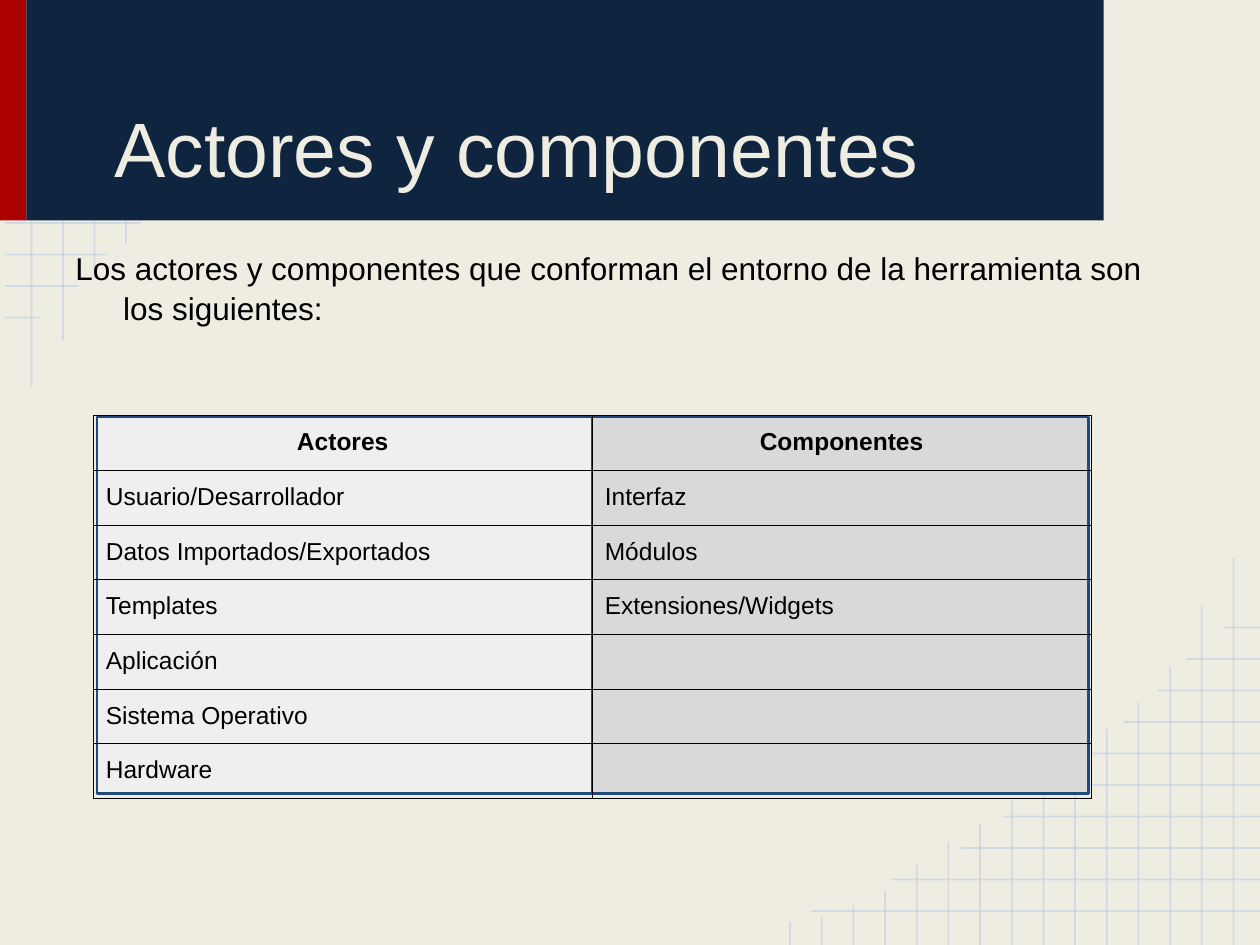
import pptx
import pptx.util
import pptx.dml.color
import pptx.enum.shapes
import pptx.enum.text
import pptx.oxml
import pptx.oxml.ns

Inches = pptx.util.Inches
Pt = pptx.util.Pt
RGBColor = pptx.dml.color.RGBColor
ALIGN = pptx.enum.text.PP_ALIGN
ANCHOR = pptx.enum.text.MSO_ANCHOR

CREAM = RGBColor(0xEF, 0xED, 0xE2)
PALE = RGBColor(0xB7, 0xCC, 0xE4)
RED = RGBColor(0xAB, 0x01, 0x01)
NAVY = RGBColor(0x0F, 0x24, 0x3E)
BLUE = RGBColor(0x1F, 0x49, 0x7D)
GREY = RGBColor(0xD9, 0xD9, 0xD9)
LIGHT = RGBColor(0xEF, 0xEF, 0xEF)
BLACK = RGBColor(0, 0, 0)


def apply(item, values):
    for name, value in values.items():
        setattr(item, name, value)


def add_xml(parent, tag, inner="", **values):
    ns = pptx.oxml.ns.nsdecls("a")
    node = pptx.oxml.parse_xml(f"<a:{tag} {ns}>{inner}</a:{tag}>")
    for name, value in values.items():
        node.set(name, str(value))
    parent.append(node)


class Page:
    font = "Arial"
    pad = Inches(0.1)

    def __init__(self, deck):
        self.slide = deck.slides.add_slide(deck.slide_layouts[6])
        self.shapes = self.slide.shapes
        fill = self.slide.background.fill
        fill.solid()
        fill.fore_color.rgb = CREAM

    def line(self, *ends):
        kind = pptx.enum.shapes.MSO_CONNECTOR.STRAIGHT
        line = self.shapes.add_connector(kind, *map(Inches, ends))
        line.line.width = Pt(1)
        line.line.color.rgb = PALE
        props = line.element.spPr
        add_xml(props.find(".//" + pptx.oxml.ns.qn("a:srgbClr")),
                "alpha", val=54000)
        add_xml(props, "effectLst")

    def box(self, place, color, edge=None):
        kind = pptx.enum.shapes.MSO_SHAPE.RECTANGLE
        box = self.shapes.add_shape(kind, *map(Inches, place))
        box.shadow.inherit = False
        box.fill.solid()
        box.fill.fore_color.rgb = color
        if edge is None:
            box.line.fill.background()
        else:
            box.line.color.rgb = edge
            box.line.width = Pt(1.5)

    def put(self, para, text, size, color=BLACK, bold=False):
        run = para.add_run()
        run.text = text
        apply(run.font, {"name": self.font, "size": Pt(size), "bold": bold})
        run.font.color.rgb = color

    def pads(self, item):
        apply(item, {f"margin_{side}": self.pad
                     for side in ("left", "top", "right", "bottom")})

    def text(self, place, text, size, color, anchor, left, first, space):
        frame = self.shapes.add_textbox(*map(Inches, place)).text_frame
        apply(frame, {"word_wrap": True, "vertical_anchor": anchor})
        self.pads(frame)
        para = frame.paragraphs[0]
        para.line_spacing = space
        props = para._p.get_or_add_pPr()
        props.set("marL", str(Inches(left)))
        props.set("indent", str(Inches(first)))
        self.put(para, text, size, color)

    def border(self, cell):
        props = cell._tc.get_or_add_tcPr()
        fill = f'<a:solidFill><a:srgbClr val="{BLACK}"/></a:solidFill>'
        for side in ("lnL", "lnR", "lnT", "lnB"):
            add_xml(props, side, fill, w=Pt(0.75))

    def table(self, left, top, width, height, rows):
        count = len(rows[0])
        table = self.shapes.add_table(
            len(rows), count, Inches(left), Inches(top),
            Inches(width * count), Inches(height * len(rows))).table
        apply(table, {"first_row": False, "horz_banding": False})
        for col in table.columns:
            col.width = Inches(width)
        for r, row in enumerate(rows):
            table.rows[r].height = Inches(height)
            for c, text in enumerate(row):
                cell = table.cell(r, c)
                self.border(cell)
                cell.fill.background()
                if text:
                    self.pads(cell)
                    para = cell.text_frame.paragraphs[0]
                    para.alignment = ALIGN.LEFT if r else ALIGN.CENTER
                    self.put(para, text, 14, bold=r == 0)


STEP = 0.25
LOW = [3.07, 2.7, 2.21, 1.93]
ENDS = [1.12, 0.85, 0.62, 0.32]
TOPS = [4.43, 4.8, 5.29, 5.57, 5.78, 5.95, 6.19, 6.35,
        6.54, 6.68, 6.86, 7.07, 7.18, 7.28, 7.32]
STARTS = [6.44, 7.08, 7.63, 7.96, 8.37, 8.67, 8.92, 9.19, 9.42, 9.71]
ROWS = [
    ("Actores", "Componentes"),
    ("Usuario/Desarrollador", "Interfaz"),
    ("Datos Importados/Exportados", "Módulos"),
    ("Templates", "Extensiones/Widgets"),
    ("Aplicación", ""),
    ("Sistema Operativo", ""),
    ("Hardware", ""),
]

deck = pptx.Presentation()
apply(deck, {"slide_width": Inches(10), "slide_height": Inches(7.5)})
page = Page(deck)

for i, low in enumerate(LOW):
    x = STEP * (i + 1)
    page.line(x, low, x, 0)
for i, end in enumerate(ENDS):
    y = 1.77 + STEP * i
    page.line(0.04, y, end, y)
for i, top in enumerate(TOPS):
    x = 9.79 - 3.52 * i / (len(TOPS) - 1)
    page.line(x, top, x, 7.5)
for i, start in enumerate(STARTS):
    y = 7.23 - STEP * i
    page.line(10, y, start, y)

page.box((0, -0.01, 0.21, 1.76), RED)
page.box((0.21, -0.01, 8.55, 1.76), NAVY)
page.box((4.7, 3.31, 3.94, 2.99), GREY, BLUE)
page.box((0.77, 3.31, 3.93, 2.99), LIGHT, BLUE)
page.text((0.5, 0.15, 8, 1.48), "Actores y componentes",
          44, CREAM, ANCHOR.BOTTOM, 0, 0.31, 1)
page.text((0.5, 1.86, 9, 5.29),
          "Los actores y componentes que conforman el entorno "
          "de la herramienta son los siguientes:",
          18, BLACK, ANCHOR.TOP, 0.38, -0.38, 1.05)
page.table(0.74, 3.3, 3.96, 0.42, ROWS)

deck.save("out.pptx")
